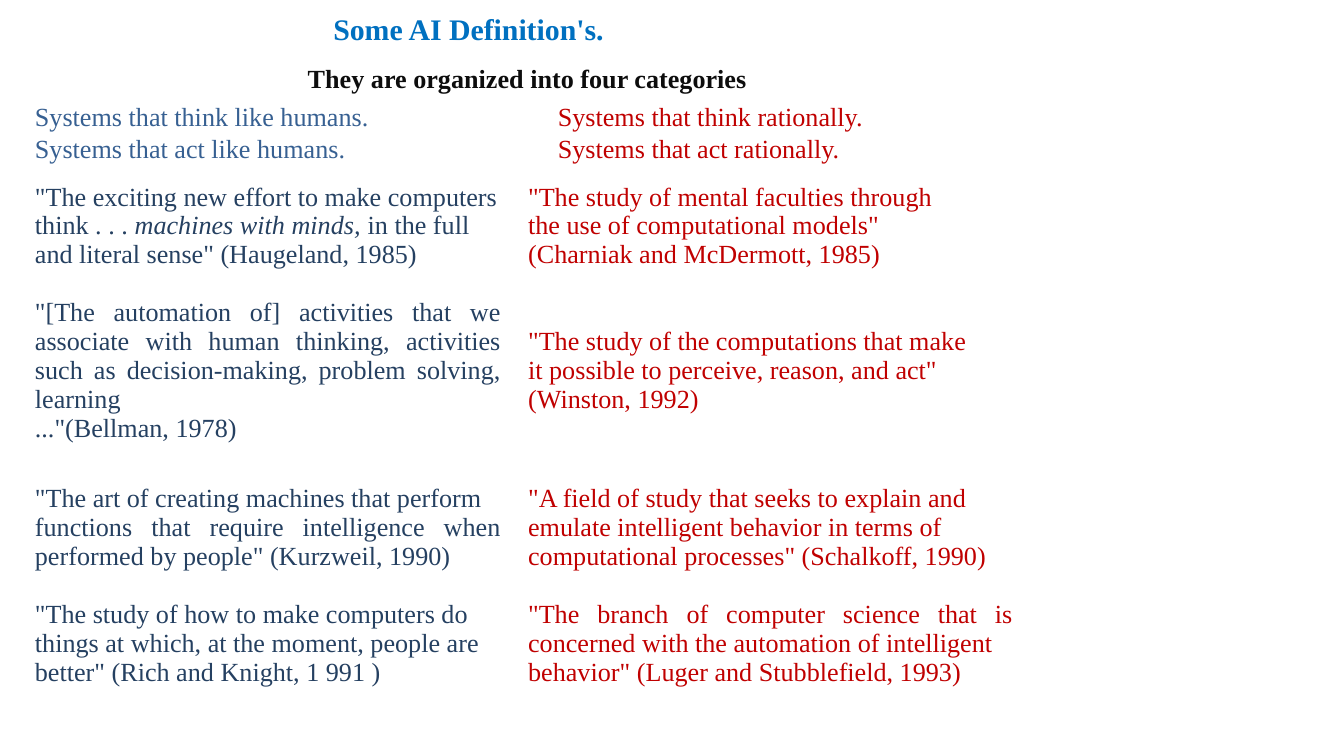
from lxml.etree import SubElement as Sub
from pptx import Presentation
from pptx.dml.color import RGBColor as Rgb
from pptx.enum.text import MSO_ANCHOR as Anchor, MSO_AUTO_SIZE as Fit, PP_ALIGN as Align
from pptx.oxml.ns import qn
from pptx.util import Inches, Pt

FACE = "Times New Roman"
AZURE = Rgb(0x00, 0x70, 0xC0)
BLACK = Rgb(0x0D, 0x0D, 0x0D)
STEEL = Rgb(0x37, 0x60, 0x92)
NAVY = Rgb(0x25, 0x40, 0x61)
RED = Rgb(0xC0, 0x00, 0x00)
LINE = 15.5

HUMAN = ["Systems that think like humans.", "Systems that act like humans."]
RATIONAL = ["Systems that think rationally.", "Systems that act rationally."]

THINK_HUMAN = [
    ['"The exciting new effort to make computers',
     "think . . . _machines with minds, _in the full",
     'and literal sense" (Haugeland, 1985)'],
    ['"[The automation of] activities that we associate with human thinking, '
     "activities such as decision-making, problem solving, learning",
     '..."(Bellman, 1978)'],
]
THINK_RATIONAL = [
    ['"The study of mental faculties through',
     'the use of computational models"',
     "(Charniak and McDermott, 1985)"],
    ['"The study of the computations that make',
     'it possible to perceive, reason, and act"',
     "(Winston, 1992)"],
]
ACT_HUMAN = [
    ['"The art of creating machines that perform',
     "functions that require intelligence when "
     'performed by people" (Kurzweil, 1990)'],
    ['"The study of how to make computers do',
     "things at which, at the moment, people are",
     'better" (Rich and Knight, 1 991 )'],
]
ACT_RATIONAL = [
    ['"A field of study that seeks to explain and',
     "emulate intelligent behavior in terms of",
     'computational processes" (Schalkoff, 1990)'],
    ['"The branch of computer science that is '
     "concerned with the automation of intelligent",
     'behavior" (Luger and Stubblefield, 1993)'],
]


def add_para(frame, first, text, color, size=14, bold=False,
             align=Align.JUSTIFY, space=1.0, gap=0, indent=0):
    """Write one paragraph, with text between underscores in italics."""
    para = frame.paragraphs[0] if first else frame.add_paragraph()
    props = para._p.get_or_add_pPr()
    props.set("marL", str(Inches(indent)))
    props.set("indent", "0")
    Sub(props, qn("a:buNone"))
    para.alignment, para.line_spacing = align, space
    para.space_before, para.space_after = Pt(gap), Pt(0)
    font = para.font
    font.name, font.size, font.bold = FACE, Pt(size), bold
    font.color.rgb = color
    for i, part in enumerate(text.split("_")):
        run = para.add_run()
        run.text = part
        if i % 2:
            run.font.italic = True


def set_box(shape, left, top, width, height):
    """Place a placeholder and return its text frame."""
    shape.left, shape.top = Inches(left), Inches(top)
    shape.width, shape.height = Inches(width), Inches(height)
    frame = shape.text_frame
    frame.auto_size, frame.word_wrap = Fit.NONE, True
    frame.vertical_anchor = Anchor.TOP
    return frame


def add_title(shape):
    """Write the heading and its second line."""
    frame = set_box(shape, 1.66, 0.03, 4.09, 0.72)
    add_para(frame, True, "Some AI Definition's.", AZURE, 16, True,
             Align.LEFT, indent=0.72)
    add_para(frame, False, "They are organized into four categories", BLACK,
             14, True, Align.LEFT, 1.5, indent=0.53)


def add_list(shape, left, width, items, color):
    """Write one list of system categories."""
    frame = set_box(shape, left, 0.7, width, 0.57)
    for i, item in enumerate(items):
        add_para(frame, i == 0, item, color)


def fill_cell(cell, blocks, color, align, lines, top):
    """Write the quotes of one cell, set apart by a number of lines."""
    cell.fill.background()
    cell.margin_top = Inches(top)
    for i, block in enumerate(blocks):
        for j, text in enumerate(block):
            gap = LINE * lines if i and not j else 0
            add_para(cell.text_frame, i + j == 0, text, color,
                     align=align, gap=gap)


def add_quotes(slide):
    """Add the table of definitions."""
    table = slide.shapes.add_table(2, 2, Inches(0.16), Inches(1.31),
                                   Inches(7.48), Inches(4.18)).table
    table.first_row = table.horz_banding = False
    for col, width in zip(table.columns, (3.67, 3.81)):
        col.width = Inches(width)
    for row, height in zip(table.rows, (2, 2.18)):
        row.height = Inches(height)
    fill_cell(table.cell(0, 0), THINK_HUMAN, NAVY, Align.JUSTIFY, 1, 0.05)
    fill_cell(table.cell(0, 1), THINK_RATIONAL, RED, Align.LEFT, 2, 0.05)
    fill_cell(table.cell(1, 0), ACT_HUMAN, NAVY, Align.JUSTIFY, 1, 0.26)
    fill_cell(table.cell(1, 1), ACT_RATIONAL, RED, Align.JUSTIFY, 1, 0.26)


def main():
    """Build the slide and save it."""
    deck = Presentation()
    deck.slide_width, deck.slide_height = Inches(10), Inches(10 * 9 / 16)
    slide = deck.slides.add_slide(deck.slide_layouts[3])
    title, left, right = slide.placeholders
    add_title(title)
    add_list(left, 0.16, 5, HUMAN, STEEL)
    add_list(right, 4.05, 2.73, RATIONAL, RED)
    add_quotes(slide)
    deck.save("out.pptx")


if __name__ == "__main__":
    main()
